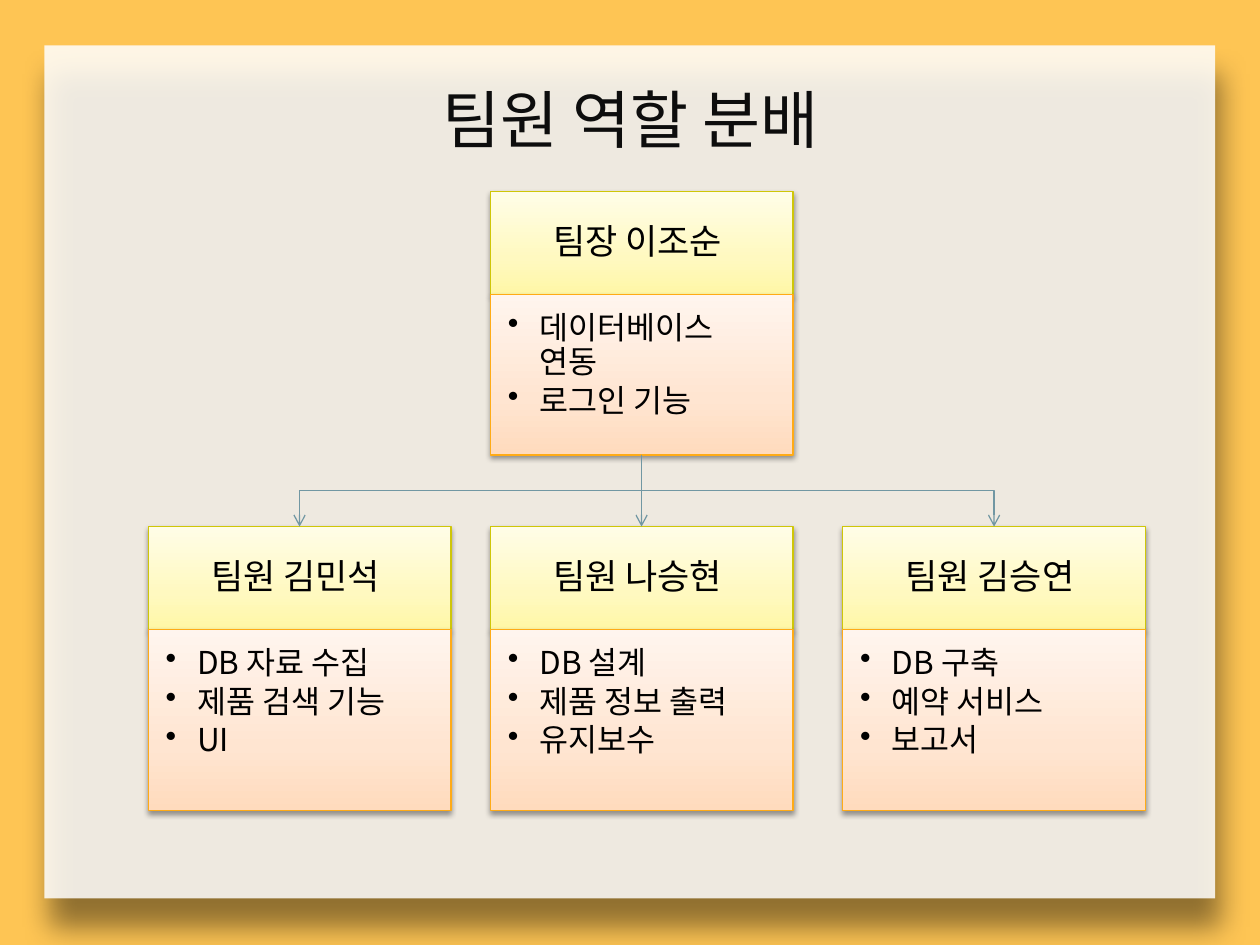
from lxml import etree
from pptx import Presentation
from pptx.dml.color import RGBColor
from pptx.enum.shapes import MSO_CONNECTOR, MSO_SHAPE
from pptx.enum.text import MSO_ANCHOR, PP_ALIGN
from pptx.oxml import parse_xml
from pptx.oxml.ns import nsdecls, qn
from pptx.util import Pt

RECT, ELBOW = MSO_SHAPE.RECTANGLE, MSO_CONNECTOR.ELBOW
LEFT, CENTER = PP_ALIGN.LEFT, PP_ALIGN.CENTER
TOP, MIDDLE = MSO_ANCHOR.TOP, MSO_ANCHOR.MIDDLE

# Content
TITLE = "팀원 역할 분배"
LEADER = ("팀장 이조순 ", ["데이터베이스 연동", "로그인 기능"])
MEMBERS = [
    ("팀원 김민석 ", ["DB 자료 수집", "제품 검색 기능", "UI"]),
    ("팀원 나승현 ", ["DB 설계", "제품 정보 출력", "유지보수"]),
    ("팀원 김승연 ", ["DB 구축", "예약 서비스", "보고서"]),
]

THEME = {
    "font": "Noto Sans CJK KR",
    "background": "FEC554", "panel": "FFFFFF", "title": "0D0D0D", "text": "000000",
    "name_fill": ["FFF7A6", "FFF9C0", "FFFDE7"], "name_line": "CFC608",
    "task_fill": ["FFDBBD", "FFE5D1", "FFF5EE"], "task_line": "FFAB16",
    "connector": "7197A3",
    "title_size": 36, "name_size": 20, "task_size": 18, "line_width": 0.75,
}

# Layout in points
PANEL = (25.4, 26, 669, 487.4)
TITLE_BOX = (171.4, 42.5, 377.3, 51)
CARD_WIDTH, NAME_HEIGHT = 173, 58.8
LEADER_TOP, LEADER_TASKS = 109.5, 91.7
MEMBER_TOP, MEMBER_TASKS = 301, 103.3
MEMBER_LEFTS = [84.7, 280.2, 481.5]
LEADER_LEFT = MEMBER_LEFTS[1]


def rgb(value):
    return RGBColor.from_string(value)


def write(shape, lines, size, color, align=LEFT, anchor=TOP, insets=None,
          line_spacing=None, after=None, bullet_indent=None):
    frame = shape.text_frame
    frame.word_wrap = True
    frame.vertical_anchor = anchor
    if insets:
        (frame.margin_left, frame.margin_top,
         frame.margin_right, frame.margin_bottom) = map(Pt, insets)
    for index, line in enumerate(lines):
        paragraph = frame.add_paragraph() if index else frame.paragraphs[0]
        paragraph.alignment = align
        if line_spacing:
            paragraph.line_spacing = line_spacing
        if after:
            paragraph.space_after = Pt(after)
        if bullet_indent:
            props = paragraph._p.get_or_add_pPr()
            props.set("marL", str(Pt(bullet_indent)))
            props.set("indent", str(-Pt(bullet_indent)))
            etree.SubElement(props, qn("a:buChar"), char="•")
        run = paragraph.add_run()
        run.text = line
        run.font.size = Pt(size)
        run.font.name = THEME["font"]
        run.font.color.rgb = rgb(color)
        run.font._element.find(qn("a:latin")).addnext(
            etree.Element(qn("a:ea"), typeface=THEME["font"]))


def add_shadow(shape, alpha, blur, distance, angle):
    shape.shadow.inherit = False
    effects = shape._element.spPr.find(qn("a:effectLst"))
    effects.append(parse_xml(
        f'<a:outerShdw {nsdecls("a")} blurRad="{Pt(blur)}" dist="{Pt(distance)}" '
        f'dir="{angle * 60000}" algn="ctr" rotWithShape="0"><a:srgbClr val="000000">'
        f'<a:alpha val="{alpha * 1000}"/></a:srgbClr></a:outerShdw>'))


def add_gradient_box(slide, box, colors, line):
    shape = slide.shapes.add_shape(RECT, *map(Pt, box))
    stops = "".join(f'<a:gs pos="{position}"><a:srgbClr val="{color}"/></a:gs>'
                    for position, color in zip((0, 35000, 100000), colors))
    shape._element.spPr.find(qn("a:prstGeom")).addnext(parse_xml(
        f'<a:gradFill {nsdecls("a")} rotWithShape="1"><a:gsLst>{stops}</a:gsLst>'
        '<a:lin ang="16200000" scaled="0"/></a:gradFill>'))
    shape.line.color.rgb = rgb(line)
    shape.line.width = Pt(THEME["line_width"])
    add_shadow(shape, 38, 3.1, 1.6, 90)
    return shape


def add_card(slide, left, top, tasks_height, name, tasks):
    name_box = add_gradient_box(slide, (left, top, CARD_WIDTH, NAME_HEIGHT),
                                THEME["name_fill"], THEME["name_line"])
    write(name_box, [name], THEME["name_size"], THEME["text"], align=CENTER,
          anchor=MIDDLE, insets=(14.2, 8.6, 14.2, 8.6), line_spacing=0.9, after=7)
    task_box = add_gradient_box(
        slide, (left, top + NAME_HEIGHT, CARD_WIDTH, tasks_height),
        THEME["task_fill"], THEME["task_line"])
    write(task_box, tasks, THEME["task_size"], THEME["text"],
          insets=(10, 10, 13.5, 15), line_spacing=0.9, after=2.7, bullet_indent=18)


def add_branch(slide, start_x, start_y, end_x, end_y):
    # An elbow turned a quarter leaves its start downwards
    center_x, center_y = (start_x + end_x) / 2, (start_y + end_y) / 2
    half_length, half_span = (end_y - start_y) / 2, abs(end_x - start_x) / 2
    turn = 90 if end_x < start_x else 270
    side = half_length if turn == 90 else -half_length
    branch = slide.shapes.add_connector(
        ELBOW, Pt(center_x - side), Pt(center_y - half_span),
        Pt(center_x + side), Pt(center_y + half_span))
    props = branch._element.spPr
    props.find(qn("a:xfrm")).set("rot", str(turn * 60000))
    branch.line.color.rgb = rgb(THEME["connector"])
    branch.line.width = Pt(THEME["line_width"])
    etree.SubElement(props.find(qn("a:ln")), qn("a:tailEnd"), type="arrow")
    etree.SubElement(props, qn("a:effectLst"))


def main():
    deck = Presentation()
    deck.slide_width, deck.slide_height = Pt(720), Pt(540)
    slide = deck.slides.add_slide(deck.slide_layouts[6])
    slide.background.fill.solid()
    slide.background.fill.fore_color.rgb = rgb(THEME["background"])

    # Translucent panel
    panel = slide.shapes.add_shape(RECT, *map(Pt, PANEL))
    panel.fill.solid()
    panel.fill.fore_color.rgb = rgb(THEME["panel"])
    panel_color = panel._element.spPr.find(qn("a:solidFill"))[0]
    etree.SubElement(panel_color, qn("a:alpha"), val="85000")
    panel.line.fill.background()
    add_shadow(panel, 50, 16, 17, 78)

    # Title
    title = slide.shapes.add_textbox(*map(Pt, TITLE_BOX))
    write(title, [TITLE], THEME["title_size"], THEME["title"], align=CENTER)

    # Leader and members
    add_card(slide, LEADER_LEFT, LEADER_TOP, LEADER_TASKS, *LEADER)
    for left, member in zip(MEMBER_LEFTS, MEMBERS):
        add_card(slide, left, MEMBER_TOP, MEMBER_TASKS, *member)

    # Branches from the leader to each member
    middle = CARD_WIDTH / 2
    leader_bottom = LEADER_TOP + NAME_HEIGHT + LEADER_TASKS
    for left in MEMBER_LEFTS:
        add_branch(slide, LEADER_LEFT + middle, leader_bottom, left + middle, MEMBER_TOP)

    deck.save("out.pptx")


if __name__ == "__main__":
    main()
